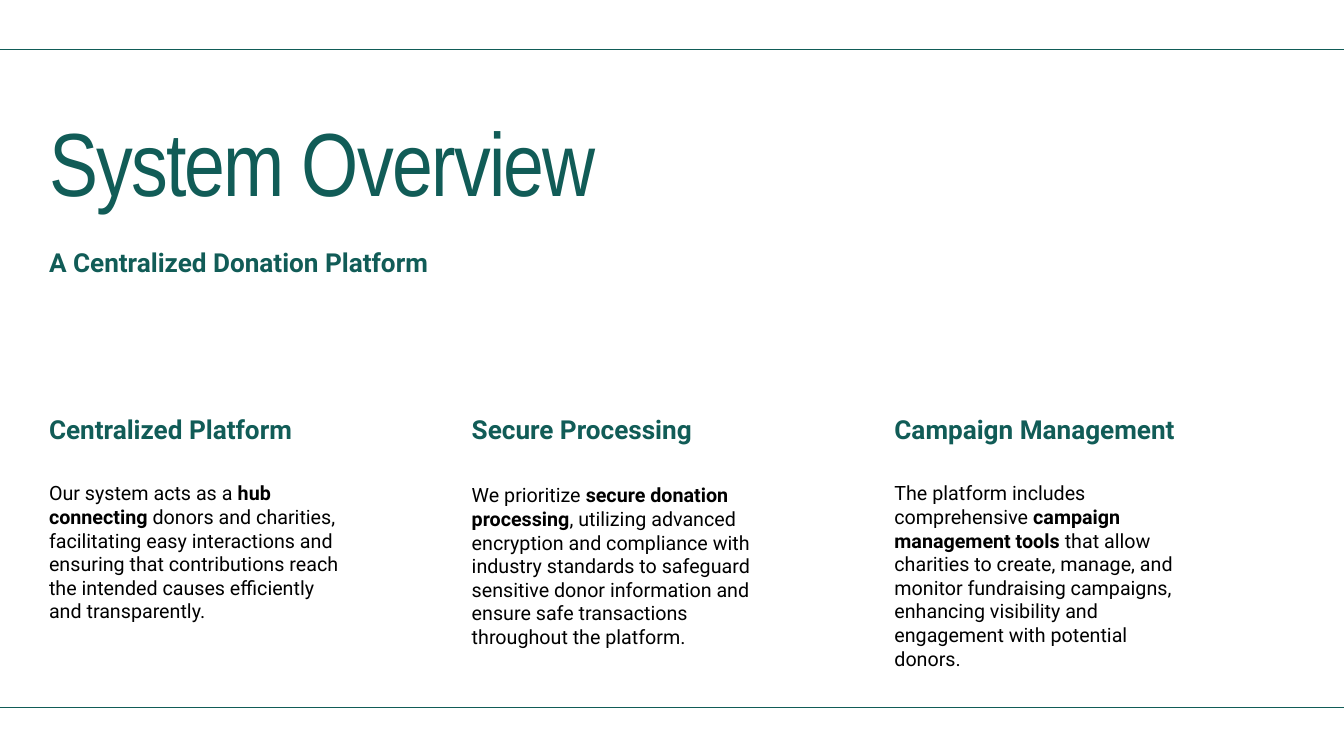
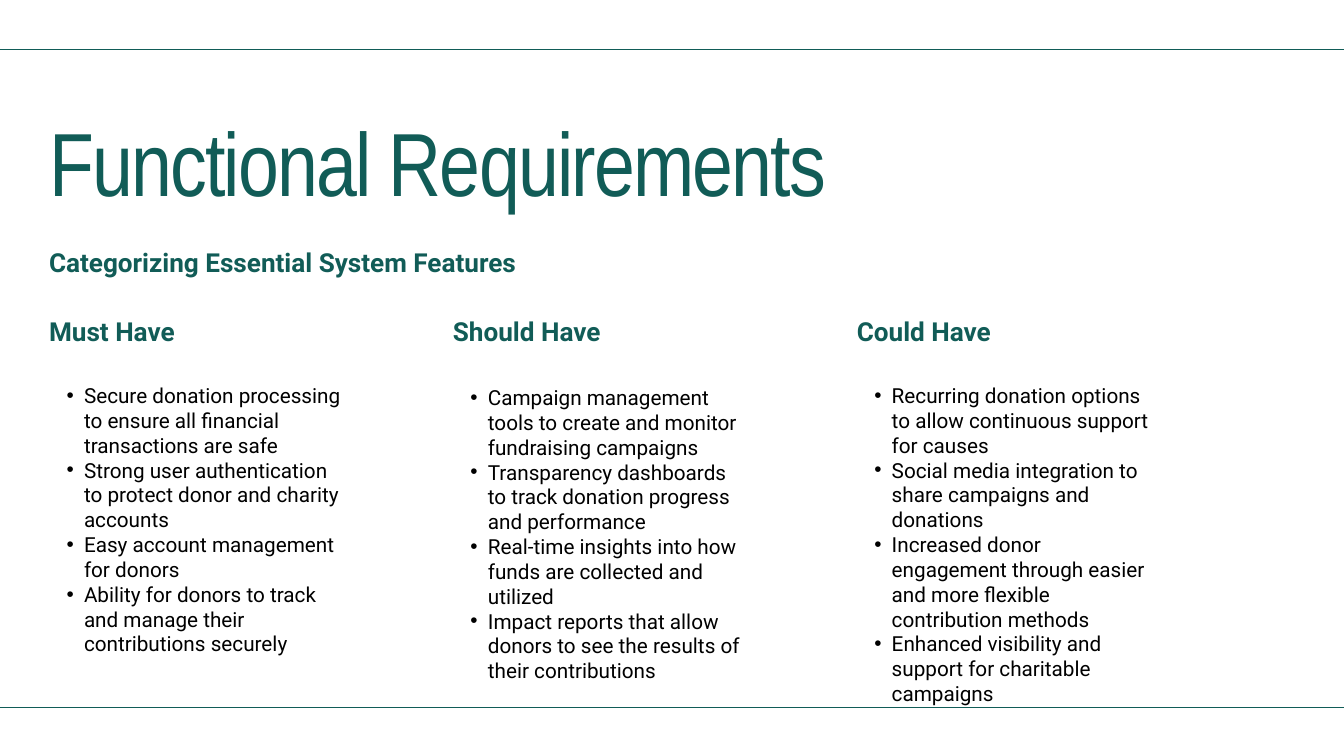
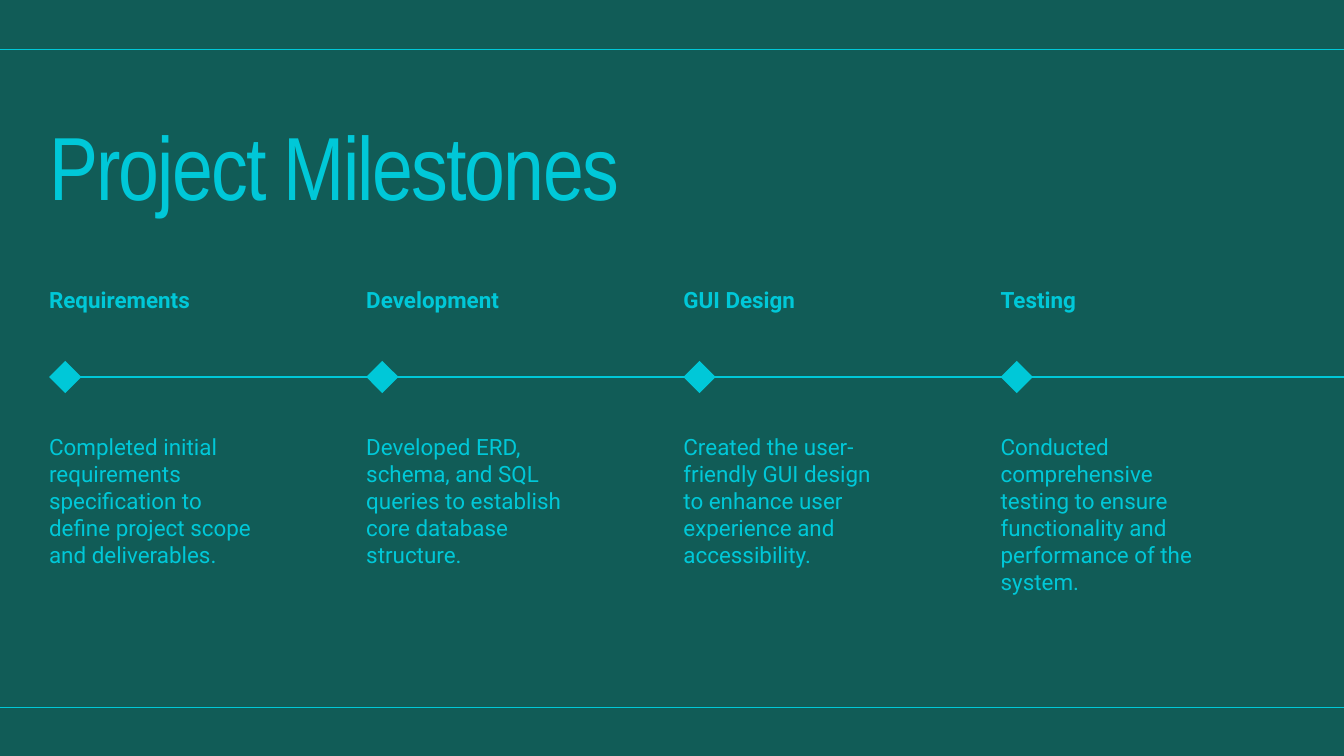
from pptx import Presentation
from pptx.dml.color import RGBColor
from pptx.enum.shapes import MSO_CONNECTOR, MSO_SHAPE
from pptx.enum.text import MSO_AUTO_SIZE
from pptx.oxml.ns import qn
from pptx.util import Pt
from lxml import etree

STRAIGHT = MSO_CONNECTOR.STRAIGHT
DIAMOND = MSO_SHAPE.DIAMOND
GROW = MSO_AUTO_SIZE.SHAPE_TO_FIT_TEXT

WHITE = RGBColor(0xFF, 0xFF, 0xFF)
BLACK = RGBColor(0x00, 0x00, 0x00)
GREEN = RGBColor(0x11, 0x5C, 0x57)
CYAN = RGBColor(0x00, 0xC8, 0xD8)

TITLE_FONT = "Arial Narrow"
BODY_FONT = "Roboto"

WIDTH, HEIGHT = 1440, 810
LEFT = 52.56
COLUMN_WIDTH = 316.08
RULE_TOPS = (53.28, 758.16)

PLATFORM_COLUMNS = [
    ("Centralized Platform", 515.52, 149.04, [
        "Our system acts as a **hub connecting** donors and charities, facilitating easy "
        "interactions and ensuring that contributions reach the intended causes efficiently "
        "and transparently."]),
    ("Secure Processing", 517.68, 173.52, [
        "We prioritize **secure donation processing**, utilizing advanced encryption and "
        "compliance with industry standards to safeguard sensitive donor information and "
        "ensure safe transactions throughout the platform."]),
    ("Campaign Management", 515.52, 198.72, [
        "The platform includes comprehensive **campaign management tools** that allow "
        "charities to create, manage, and monitor fundraising campaigns, enhancing "
        "visibility and engagement with potential donors."]),
]

REQUIREMENT_COLUMNS = [
    ("Must Have", 410.4, 394.56, [
        "Secure donation processing to ensure all financial transactions are safe",
        "Strong user authentication to protect donor and charity accounts",
        "Easy account management for donors",
        "Ability for donors to track and manage their contributions securely"]),
    ("Should Have", 412.56, 420.48, [
        "Campaign management tools to create and monitor fundraising campaigns",
        "Transparency dashboards to track donation progress and performance",
        "Real-time insights into how funds are collected and utilized",
        "Impact reports that allow donors to see the results of their contributions"]),
    ("Could Have", 410.4, 367.92, [
        "Recurring donation options to allow continuous support for causes",
        "Social media integration to share campaigns and donations",
        "Increased donor engagement through easier and more flexible contribution methods",
        "Enhanced visibility and support for charitable campaigns"]),
]

MILESTONES = [
    ("Requirements", 142.56,
     "Completed initial requirements specification to define project scope and deliverables."),
    ("Development", 142.56,
     "Developed ERD, schema, and SQL queries to establish core database structure."),
    ("GUI Design", 142.56,
     "Created the user-friendly GUI design to enhance user experience and accessibility."),
    ("Testing", 171.36,
     "Conducted comprehensive testing to ensure functionality and performance of the system."),
]


def add_bullet(para):
    para.level = 1
    properties = para._p.get_or_add_pPr()
    properties.set("marL", str(Pt(37.44)))
    properties.set("indent", str(Pt(-18.72)))
    etree.SubElement(properties, qn("a:buFont")).set("typeface", "Arial")
    etree.SubElement(properties, qn("a:buChar")).set("char", "•")


def write(para, text, *, size, color, leading, font=BODY_FONT, bold=False,
          tracking=0, bullet=False):
    """Fill a paragraph; parts between double asterisks are bold."""
    if bullet:
        add_bullet(para)
    para.line_spacing = Pt(leading)
    for index, part in enumerate(text.split("**")):
        span = para.add_run()
        span.text = part
        span.font.name = font
        span.font.size = Pt(size)
        span.font.bold = bold or index % 2 == 1
        span.font.color.rgb = color
        if tracking:
            span._r.get_or_add_rPr().set("spc", str(round(tracking * 100)))


class Deck:
    """Holds the presentation, the current page and its accent colour."""

    def __init__(self):
        self.deck = Presentation()
        self.deck.slide_width, self.deck.slide_height = Pt(WIDTH), Pt(HEIGHT)

    def start_page(self, background, accent):
        self.page = self.deck.slides.add_slide(self.deck.slide_layouts[6])
        self.page.background.fill.solid()
        self.page.background.fill.fore_color.rgb = background
        self.accent = accent
        for top in RULE_TOPS:
            self.rule(0, top)

    def rule(self, left, top):
        """Draw a level line from left to the page's right edge."""
        line = self.page.shapes.add_connector(STRAIGHT, Pt(left), Pt(top), Pt(WIDTH), Pt(top))
        line.line.color.rgb = self.accent
        line.line.width = Pt(1.5)
        etree.SubElement(line._element.spPr, qn("a:effectLst"))

    def text(self, left, top, width, height, paragraphs, **style):
        box = self.page.shapes.add_textbox(Pt(left), Pt(top), Pt(width), Pt(height))
        frame = box.text_frame
        frame.word_wrap = True
        frame.auto_size = GROW
        frame.margin_left = frame.margin_right = frame.margin_top = frame.margin_bottom = 0
        for index, text in enumerate(paragraphs):
            para = frame.add_paragraph() if index else frame.paragraphs[0]
            write(para, text, **style)

    def title(self, text, top=133.92):
        self.text(LEFT, top, 1334.88, 104.4, [text], size=96, leading=96,
                  font=TITLE_FONT, color=self.accent, tracking=-1.9)

    def heading(self, left, top, text, width=COLUMN_WIDTH):
        self.text(left, top, width, 33.12, [text], size=28, leading=33.6,
                  bold=True, color=self.accent)

    def columns(self, columns, step, heading_top, **style):
        for index, (heading, top, height, paragraphs) in enumerate(columns):
            left = LEFT + index * step
            self.heading(left, heading_top, heading)
            self.text(left, top, COLUMN_WIDTH, height, paragraphs, color=BLACK, **style)

    def diamond(self, left, middle, size=34.56):
        shape = self.page.shapes.add_shape(
            DIAMOND, Pt(left), Pt(middle - size / 2), Pt(size), Pt(size))
        shape.shadow.inherit = False
        shape.fill.solid()
        shape.fill.fore_color.rgb = self.accent
        shape.line.fill.background()

    def timeline(self, milestones, step=339.84, middle=403.92, width=226.8):
        self.rule(77.76, middle)
        for index, (name, height, summary) in enumerate(milestones):
            left = LEFT + index * step
            self.diamond(left, middle)
            self.text(left, 311.76, width, 25.92, [name], size=24, leading=24,
                      bold=True, color=self.accent)
            self.text(left, 464.4, width, height, [summary], size=24, leading=28.8,
                      color=self.accent)


def main():
    deck = Deck()

    deck.start_page(WHITE, GREEN)
    deck.title("System Overview")
    deck.heading(LEFT, 264.24, "A Centralized Donation Platform", width=1334.88)
    deck.columns(PLATFORM_COLUMNS, 452.88, 442.8, size=21.1, leading=25.3)

    deck.start_page(WHITE, GREEN)
    deck.title("Functional Requirements")
    deck.heading(LEFT, 264.24, "Categorizing Essential System Features", width=1334.88)
    deck.columns(REQUIREMENT_COLUMNS, 432.72, 337.68, size=22.2, leading=26.6, bullet=True)

    deck.start_page(GREEN, CYAN)
    deck.title("Project Milestones", top=138.24)
    deck.timeline(MILESTONES)

    deck.deck.save("out.pptx")


if __name__ == "__main__":
    main()
